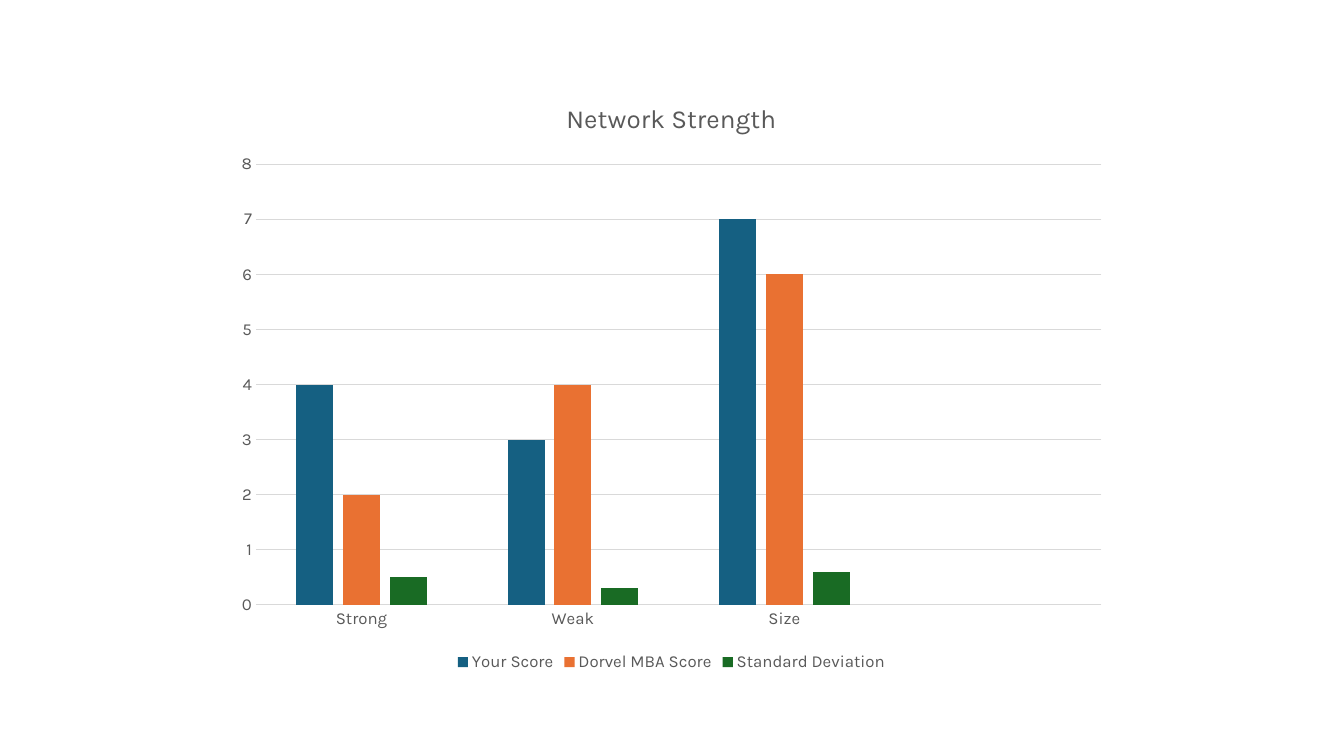
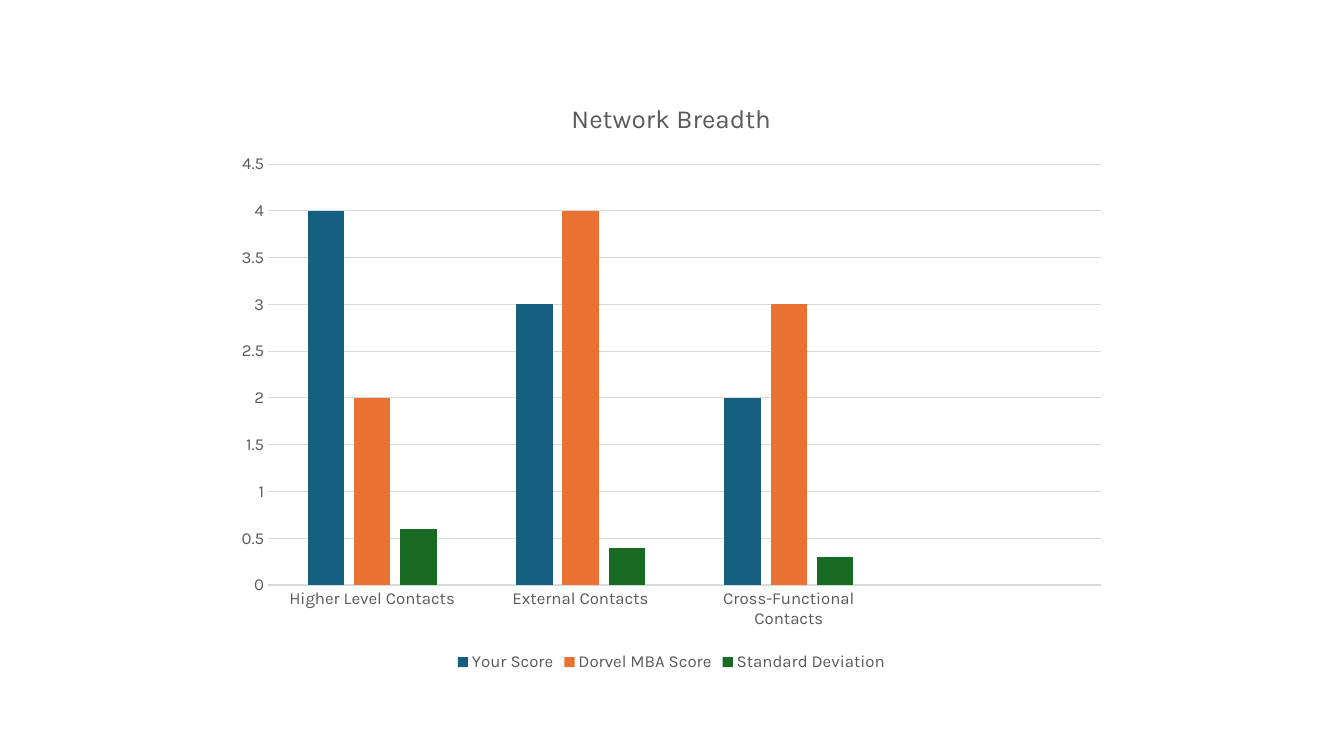
from dataclasses import dataclass

from pptx import Presentation
from pptx.chart.axis import CategoryAxis, ValueAxis
from pptx.chart.chart import Chart
from pptx.chart.data import CategoryChartData
from pptx.dml.color import RGBColor
from pptx.dml.line import LineFormat
from pptx.enum.chart import XL_CHART_TYPE, XL_LEGEND_POSITION, XL_TICK_MARK
from pptx.presentation import Presentation as Deck
from pptx.util import Emu, Pt

PX = 9525
PAGE_WIDTH, PAGE_HEIGHT = 1280, 720
CHART_WIDTH, CHART_HEIGHT = 853, 569
BLANK_LAYOUT = 6

FONT_NAME = "Karla"
TEXT_SIZE = 12
TITLE_SIZE = 18.6
GREY_TEXT = RGBColor(0x59, 0x59, 0x59)
GREY_LINE = RGBColor(0xD9, 0xD9, 0xD9)
BLUE = RGBColor(0x15, 0x60, 0x82)
ORANGE = RGBColor(0xE9, 0x71, 0x32)
GREEN = RGBColor(0x19, 0x6B, 0x24)

SERIES_COLORS = {
    "Your Score": BLUE,
    "Dorvel MBA Score": ORANGE,
    "Standard Deviation": GREEN,
}

Values = tuple[float | None, ...]


@dataclass(frozen=True)
class ScoreChart:
    title: str
    categories: tuple[str, ...]
    scores: tuple[Values, ...]
    maximum: float
    step: float


SCORE_CHARTS = (
    ScoreChart(
        title="Network Strength",
        categories=("Strong", "Weak", "Size", ""),
        scores=((4, 3, 7, None), (2, 4, 6, None), (0.5, 0.3, 0.6, None)),
        maximum=8,
        step=1,
    ),
    ScoreChart(
        title="Network Breadth",
        categories=(
            "Higher Level Contacts",
            "External Contacts",
            "Cross-Functional Contacts",
            "",
        ),
        scores=((4, 3, 2, None), (2, 4, 3, None), (0.6, 0.4, 0.3, None)),
        maximum=4.5,
        step=0.5,
    ),
)


def px(length: int) -> Emu:
    return Emu(length * PX)


def style_line(line: LineFormat) -> None:
    line.color.rgb = GREY_LINE
    line.width = Pt(0.75)


def style_title(chart: Chart, title: str) -> None:
    chart.has_title = True
    frame = chart.chart_title.text_frame
    frame.text = title
    font = frame.paragraphs[0].font
    font.name = FONT_NAME
    font.size = Pt(TITLE_SIZE)
    font.bold = False
    font.color.rgb = GREY_TEXT


def style_axes(chart: Chart, score_chart: ScoreChart) -> None:
    category_axis: CategoryAxis = chart.category_axis
    value_axis: ValueAxis = chart.value_axis
    for axis in (category_axis, value_axis):
        axis.major_tick_mark = XL_TICK_MARK.NONE
        axis.minor_tick_mark = XL_TICK_MARK.NONE
    style_line(category_axis.format.line)
    value_axis.format.line.fill.background()
    value_axis.has_major_gridlines = True
    style_line(value_axis.major_gridlines.format.line)
    value_axis.minimum_scale = 0
    value_axis.maximum_scale = score_chart.maximum
    value_axis.major_unit = score_chart.step


def style_columns(chart: Chart) -> None:
    plot = chart.plots[0]
    plot.gap_width = 219
    plot.overlap = -27
    plot.vary_by_categories = False
    for series, color in zip(plot.series, SERIES_COLORS.values()):
        series.format.fill.solid()
        series.format.fill.fore_color.rgb = color


def add_score_page(deck: Deck, score_chart: ScoreChart) -> None:
    page = deck.slides.add_slide(deck.slide_layouts[BLANK_LAYOUT])
    data = CategoryChartData()
    data.categories = score_chart.categories
    for name, values in zip(SERIES_COLORS, score_chart.scores):
        data.add_series(name, values)
    chart = page.shapes.add_chart(
        XL_CHART_TYPE.COLUMN_CLUSTERED,
        px((PAGE_WIDTH - CHART_WIDTH) // 2),
        px((PAGE_HEIGHT - CHART_HEIGHT) // 2),
        px(CHART_WIDTH),
        px(CHART_HEIGHT),
        data,
    ).chart
    chart.font.name = FONT_NAME
    chart.font.size = Pt(TEXT_SIZE)
    chart.font.color.rgb = GREY_TEXT
    style_title(chart, score_chart.title)
    style_axes(chart, score_chart)
    style_columns(chart)
    chart.has_legend = True
    chart.legend.position = XL_LEGEND_POSITION.BOTTOM
    chart.legend.include_in_layout = False


def main() -> None:
    deck = Presentation()
    deck.slide_width = px(PAGE_WIDTH)
    deck.slide_height = px(PAGE_HEIGHT)
    for score_chart in SCORE_CHARTS:
        add_score_page(deck, score_chart)
    deck.save("out.pptx")


if __name__ == "__main__":
    main()
